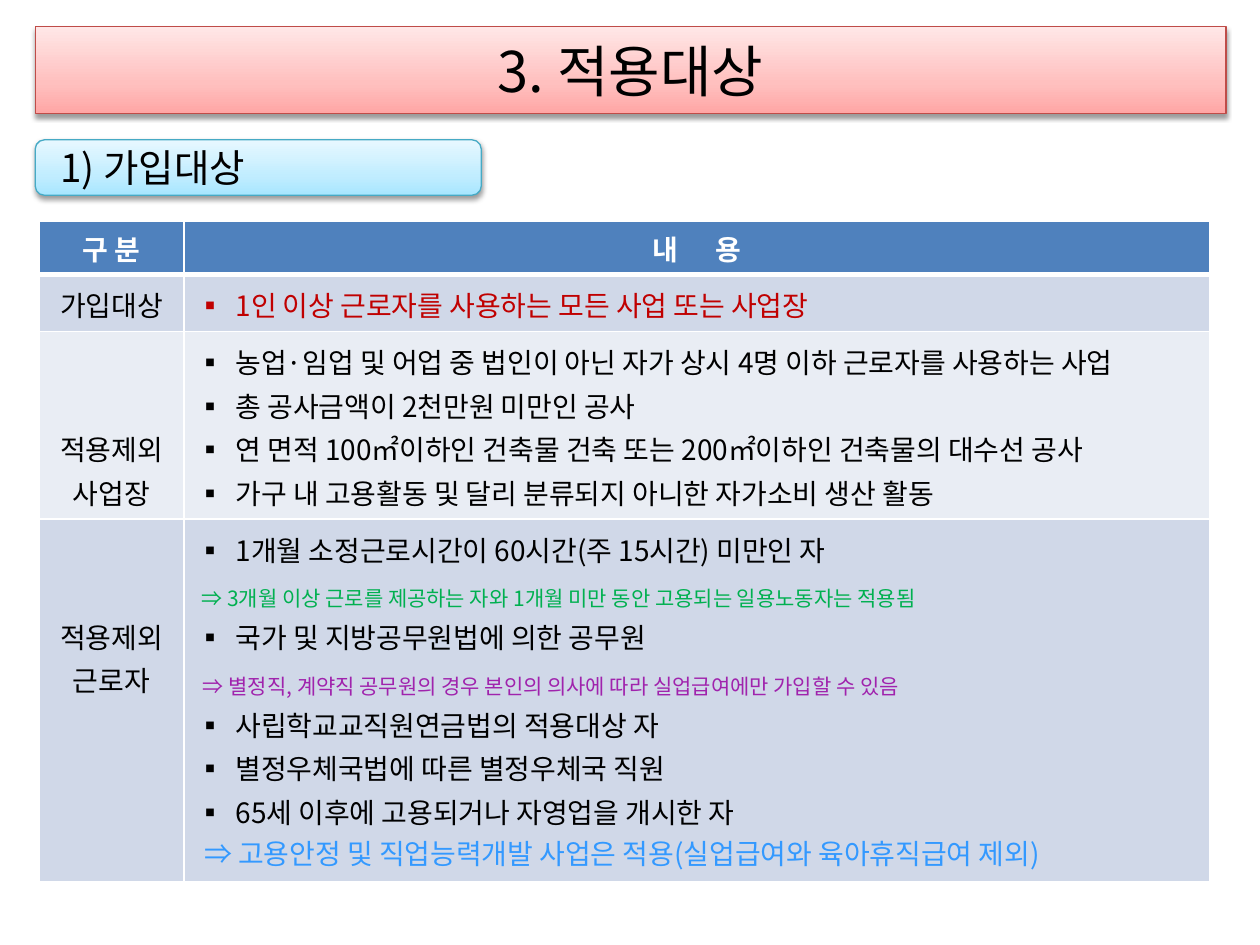
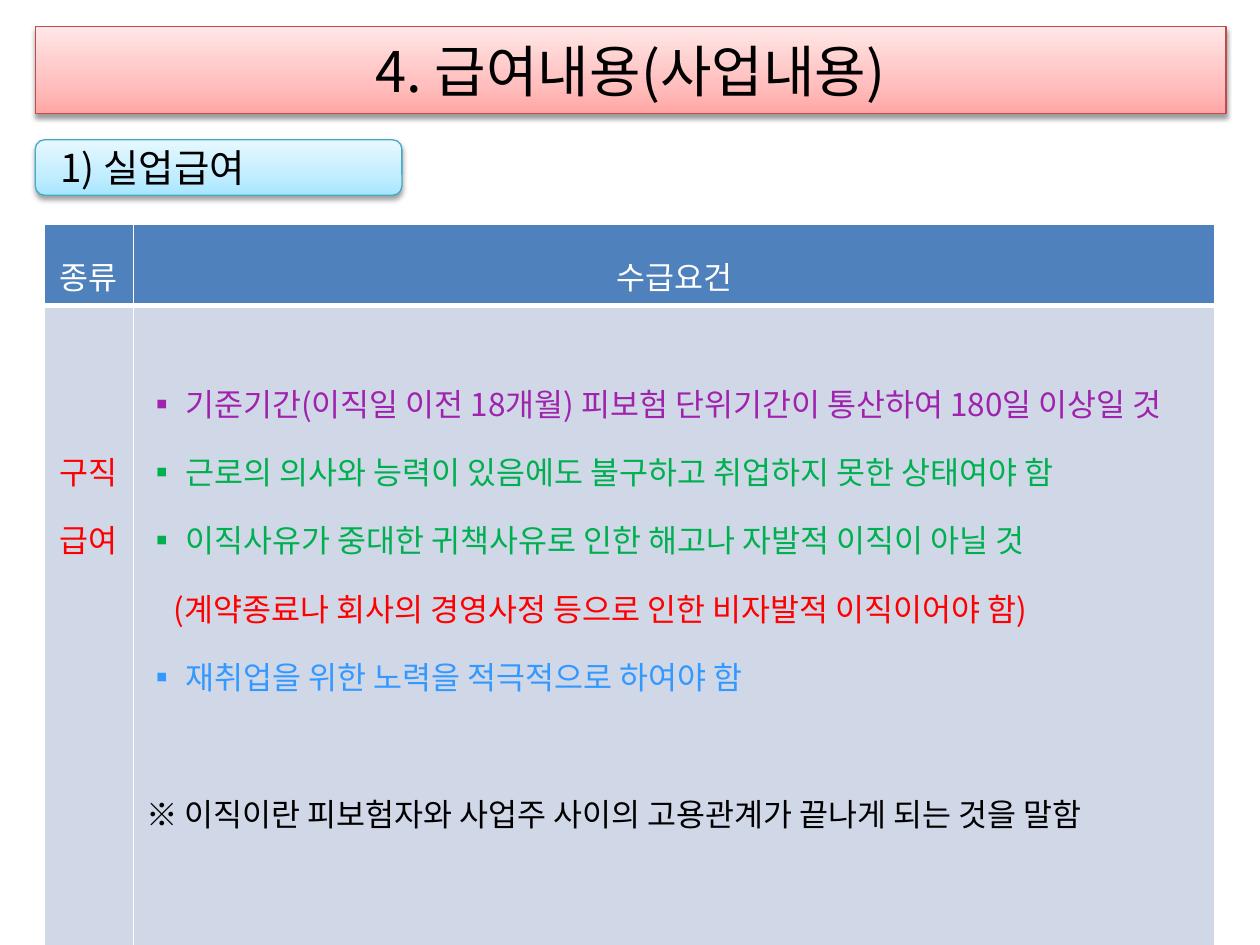
import copy

import pptx
import pptx.dml.color
import pptx.enum.shapes
import pptx.enum.text
import pptx.oxml.ns
import pptx.util
from lxml import etree

Inches = pptx.util.Inches
Pt = pptx.util.Pt
qn = pptx.oxml.ns.qn
ALIGN = pptx.enum.text.PP_ALIGN
MIDDLE = pptx.enum.text.MSO_ANCHOR.MIDDLE

FONT = "Noto Sans CJK KR"
BLACK, WHITE, RED = "000000", "FFFFFF", "FF0000"
GREEN, PURPLE, SKY, CRIMSON = "00B050", "A023AD", "3399FF", "C00000"
HEAD, BAND, LIGHT = "4F81BD", "D0D8E8", "E9EDF4"
TITLE_LOOK = dict(stops=["FFA6A5", "FFC0BF", "FFE7E7"], line="BF4C48")
SECTION_LOOK = dict(stops=["A7E6FF", "C1EDFF", "E7F8FF"], line="46AAC5")
TITLE_BOX = (0.28, 0.21, 9.45, 0.69)
MARGIN = 0.05


def rgb(value):
    return pptx.dml.color.RGBColor.from_string(value)


def child(parent, tag, **attrs):
    el = etree.SubElement(parent, qn(tag))
    for name, value in attrs.items():
        el.set(name, str(value))
    return el


def add_run(p, text, size, color=BLACK, bold=False, spacing=0):
    r = p.add_run()
    r.text = text
    for name, value in dict(size=Pt(size), bold=bold, name=FONT).items():
        setattr(r.font, name, value)
    r.font.color.rgb = rgb(color)
    rPr = r.font._element
    child(rPr, "a:ea", typeface=FONT)
    if spacing:
        rPr.set("spc", str(spacing))


def add_paragraph(p, text, size, color=BLACK, bold=False, bullet=False, indent=0, **layout):
    pPr = p._p.get_or_add_pPr()
    if bullet:
        pPr.set("marL", str(Inches(0.31)))
        pPr.set("indent", str(-Inches(0.31)))
        child(pPr, "a:buFont", typeface=FONT)
        child(pPr, "a:buChar", char="▪")
    elif indent:
        pPr.set("marL", str(Inches(indent)))
        pPr.set("indent", "0")
    for name, value in layout.items():
        setattr(p, name, value)
    add_run(p, text, size, color, bold)


def style_panel(sp, stops, line):
    sp.fill.gradient()
    sp.fill.gradient_angle = 90
    gs_list = sp._element.spPr.find(".//" + qn("a:gsLst"))
    gs_list.append(copy.deepcopy(gs_list[0]))
    for stop, color, position in zip(sp.fill.gradient_stops, stops, (0, 0.35, 1)):
        stop.color.rgb = rgb(color)
        stop.position = position
    sp.line.color.rgb = rgb(line)
    sp.line.width = Pt(0.75)
    sp.shadow.inherit = False
    effects = sp._element.spPr.find(qn("a:effectLst"))
    shadow = child(effects, "a:outerShdw", blurRad=Pt(3.1), dist=Pt(1.6),
                   dir=5400000, rotWithShape=0)
    child(child(shadow, "a:srgbClr", val=BLACK), "a:alpha", val=38000)
    sp.text_frame.vertical_anchor = MIDDLE


def add_title(slide, text, box):
    sp = slide.shapes.title
    for name, value in zip(("left", "top", "width", "height"), box):
        setattr(sp, name, Inches(value))
    style_panel(sp, **TITLE_LOOK)
    add_paragraph(sp.text_frame.paragraphs[0], text, 32, alignment=ALIGN.CENTER)


def add_section(slide, text, box):
    sp = slide.shapes.add_shape(pptx.enum.shapes.MSO_SHAPE.ROUNDED_RECTANGLE,
                                *map(Inches, box))
    style_panel(sp, **SECTION_LOOK)
    sp.text_frame.margin_left = Inches(0.18)
    add_paragraph(sp.text_frame.paragraphs[0], text, 22, alignment=ALIGN.LEFT)


def add_grid(slide, left, top, cols, rows):
    table = slide.shapes.add_table(len(rows), len(cols), Inches(left), Inches(top),
                                   Inches(sum(cols)), Inches(sum(rows))).table
    for col, width in zip(table.columns, cols):
        col.width = Inches(width)
    for row, height in zip(table.rows, rows):
        row.height = Inches(height)
    return table


def style_cell(cell, fill, top_gap=0, top_line=1, bottom_line=1):
    tcPr = cell._tc.get_or_add_tcPr()
    sides = {"a:lnL": 1, "a:lnR": 1, "a:lnT": top_line, "a:lnB": bottom_line}
    for tag, width in sides.items():
        ln = child(tcPr, tag, w=Pt(width))
        child(child(ln, "a:solidFill"), "a:srgbClr", val=WHITE)
    cell.fill.solid()
    cell.fill.fore_color.rgb = rgb(fill)
    cell.margin_top = Inches(MARGIN + top_gap)


def fill_cell(cell, lines, **common):
    tf = cell.text_frame
    for i, line in enumerate(lines):
        p = tf.add_paragraph() if i else tf.paragraphs[0]
        add_paragraph(p, **{**common, **line})


def add_header(table, labels, **common):
    for cell, label in zip(table.rows[0].cells, labels):
        style_cell(cell, HEAD, bottom_line=3)
        fill_cell(cell, [dict(text=label)], color=WHITE, alignment=ALIGN.CENTER, **common)


def add_body_row(table, index, label, lines, fill, label_gap=0, text_gap=0, **common):
    top_line = 3 if index == 1 else 1
    label_cell, text_cell = table.rows[index].cells
    style_cell(label_cell, fill, label_gap, top_line)
    fill_cell(label_cell, [label], alignment=ALIGN.CENTER, **common)
    style_cell(text_cell, fill, text_gap, top_line)
    fill_cell(text_cell, lines, **common)


def item(text, color=BLACK):
    return dict(text=text, color=color, bullet=True)


def note(text, color, indent=0, **changes):
    return dict(text=text, color=color, indent=indent, **changes)


def start_slide(prs, title, section, section_width):
    slide = prs.slides.add_slide(prs.slide_layouts[5])
    add_title(slide, title, TITLE_BOX)
    add_section(slide, section, (0.28, 1.11, section_width, 0.44))
    return slide


def coverage_slide(prs):
    slide = start_slide(prs, "3. 적용대상", "1) 가입대상", 3.54)
    table = add_grid(slide, 0.31, 1.76, (1.15, 8.14), (0.42, 0.45, 1.49, 2.88))
    add_header(table, ("구 분", "내"), size=16, bold=True)
    p = table.cell(0, 1).text_frame.paragraphs[0]
    add_run(p, " ", 16, WHITE, True, 1800)
    add_run(p, "용", 16, WHITE, True)
    rows = [
        ("가입대상", BAND, 0, [item("1인 이상 근로자를 사용하는 모든 사업 또는 사업장", CRIMSON)]),
        ("적용제외사업장", LIGHT, 0.69, [
            item("농업·임업 및 어업 중 법인이 아닌 자가 상시 4명 이하 근로자를 사용하는 사업"),
            item("총 공사금액이 2천만원 미만인 공사"),
            item("연 면적 100㎡이하인 건축물 건축 또는 200㎡이하인 건축물의 대수선 공사"),
            item("가구 내 고용활동 및 달리 분류되지 아니한 자가소비 생산 활동"),
        ]),
        ("적용제외근로자", BAND, 0.69, [
            item("1개월 소정근로시간이 60시간(주 15시간) 미만인 자"),
            note("⇒ 3개월 이상 근로를 제공하는 자와 1개월 미만 동안 고용되는 일용노동자는 적용됨",
                 GREEN, 0.04, size=12),
            item("국가 및 지방공무원법에 의한 공무원"),
            note("⇒ 별정직, 계약직 공무원의 경우 본인의 의사에 따라 실업급여에만 가입할 수 있음",
                 PURPLE, 0.05, size=12),
            item("사립학교교직원연금법의 적용대상 자"),
            item("별정우체국법에 따른 별정우체국 직원"),
            item("65세 이후에 고용되거나 자영업을 개시한 자"),
            note("⇒ 고용안정 및 직업능력개발 사업은 적용(실업급여와 육아휴직급여 제외)",
                 SKY, 0.06, line_spacing=Pt(23.5)),
        ]),
    ]
    for i, (label, fill, gap, lines) in enumerate(rows, 1):
        add_body_row(table, i, dict(text=label), lines, fill, label_gap=gap,
                     size=16, line_spacing=Pt(25))


def benefit_slide(prs):
    slide = start_slide(prs, "4. 급여내용(사업내용)", "1) 실업급여", 2.91)
    table = add_grid(slide, 0.35, 1.78, (0.71, 8.58), (0.64, 5.08))
    common = dict(size=18, line_spacing=1.5)
    add_header(table, ("종류", "수급요건"), **common)
    lines = [
        item("기준기간(이직일 이전 18개월) 피보험 단위기간이 통산하여 180일 이상일 것", PURPLE),
        item("근로의 의사와 능력이 있음에도 불구하고 취업하지 못한 상태여야 함", GREEN),
        item("이직사유가 중대한 귀책사유로 인한 해고나 자발적 이직이 아닐 것", GREEN),
        note("(계약종료나 회사의 경영사정 등으로 인한 비자발적 이직이어야 함)", RED, 0.22),
        item("재취업을 위한 노력을 적극적으로 하여야 함", SKY),
        note("※ 이직이란 피보험자와 사업주 사이의 고용관계가 끝나게 되는 것을 말함", BLACK,
             space_before=Pt(39)),
    ]
    add_body_row(table, 1, dict(text="구직급여", color=RED), lines, BAND,
                 label_gap=0.9, text_gap=0.36, **common)


def main():
    prs = pptx.Presentation()
    prs.slide_width, prs.slide_height = Inches(10), Inches(7.5)
    coverage_slide(prs)
    benefit_slide(prs)
    prs.save("out.pptx")


if __name__ == "__main__":
    main()
